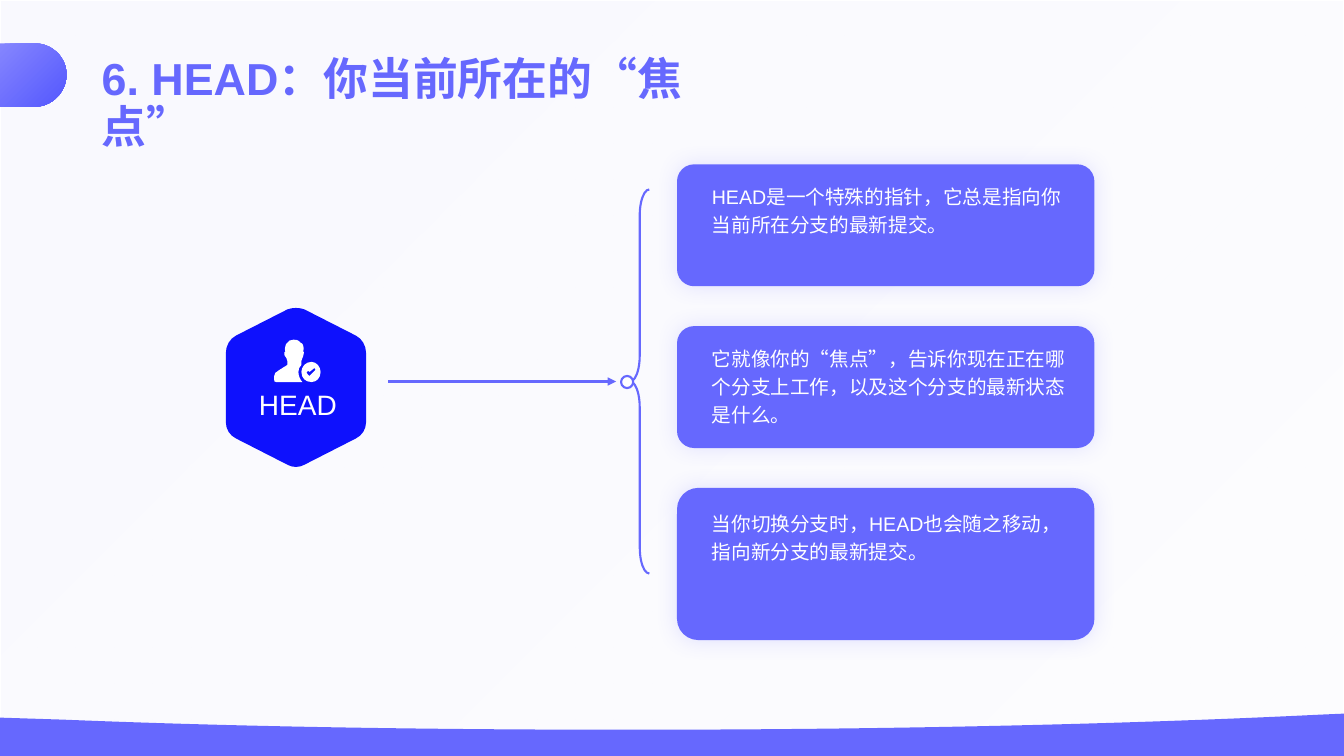
from lxml import etree
from pptx import Presentation
from pptx import util as u
from pptx.dml.color import RGBColor
from pptx.enum import shapes, text
from pptx.oxml.ns import qn

COLS, ROWS = 133.3, 75
ACCENT, DEEP, WHITE = "6668FE", "0E11FD", "FFFFFF"

TAB = [[(0, 4.3), (3.4, 4.3), (5.2, 4.3, 6.6, 5.7, 6.6, 7.4),
        (6.6, 9.1, 5.2, 10.6, 3.4, 10.6), (0, 10.6)]]
WAVE = [[(133.3, 70.8), (133.3, 75.2), (0, 75.2), (0, 71.2), (6.3, 71.4),
         (23.5, 72.1, 42.5, 72.4, 62.4, 72.4), (87.2, 72.4, 110.6, 71.9, 131, 70.9)]]
HEXAGON = [[(30.2, 30.7), (35.3, 33.3), (35.9, 33.6, 36.3, 34.3, 36.3, 35),
            (36.3, 41.9), (36.3, 42.6, 35.9, 43.2, 35.3, 43.5),
            (30.2, 46.1), (29.7, 46.4, 29, 46.4, 28.5, 46.1),
            (23.4, 43.5), (22.8, 43.2, 22.4, 42.6, 22.4, 41.9),
            (22.4, 35), (22.4, 34.3, 22.8, 33.6, 23.4, 33.3),
            (28.5, 30.7), (29, 30.5, 29.7, 30.5, 30.2, 30.7)]]
CHECK = [(31.2, 36.5), (30.7, 36.9), (30.6, 36.8), (30.4, 36.9),
         (30.5, 37.1), (30.7, 37.3), (30.9, 37.1), (31.3, 36.7)]
BADGE = [(30.9, 35.9), (31.4, 35.9, 31.8, 36.4, 31.8, 36.9),
         (31.8, 37.5, 31.4, 37.9, 30.9, 37.9), (30.3, 37.9, 29.9, 37.5, 29.9, 36.9),
         (29.9, 36.4, 30.3, 35.9, 30.9, 35.9)]
PERSON = [(29.1, 33.7), (29.3, 33.7, 29.5, 33.7, 29.6, 33.8),
          (29.8, 33.9, 29.8, 34, 29.8, 34), (29.8, 34, 30.2, 34, 30.1, 34.8),
          (30.1, 34.8, 30.1, 34.8, 30.1, 34.9), (30.1, 34.9, 30.2, 34.9, 30.1, 35.2),
          (30.1, 35.4, 30, 35.5, 30, 35.5), (30, 35.6, 29.9, 35.7, 29.9, 35.8),
          (29.9, 36.2), (29.7, 36.4, 29.6, 36.6, 29.6, 36.9),
          (29.6, 37.3, 29.8, 37.7, 30, 37.9), (27.4, 37.9),
          (27.2, 37.9, 27.2, 37.8, 27.2, 37.7), (27.2, 37.3),
          (27.2, 37.2, 27.2, 37.1, 27.3, 37), (27.8, 36.6, 28.4, 36.3, 28.5, 36.2),
          (28.5, 35.8), (28.5, 35.7, 28.4, 35.6, 28.4, 35.5),
          (28.4, 35.5, 28.3, 35.4, 28.2, 35.2), (28.2, 34.9, 28.2, 34.9, 28.3, 34.9),
          (28.3, 34.7, 28.2, 34.5, 28.3, 34.4), (28.3, 34.2, 28.4, 34.1, 28.5, 34),
          (28.6, 33.9, 28.6, 33.9, 28.7, 33.8), (28.8, 33.8, 28.9, 33.7, 29.1, 33.7)]

CARDS = [
    ("HEAD是一个特殊的指针，它总是指向你当前所在分支的最新提交。", 12.1, 1.6, 5.4),
    ("它就像你的“焦点”，告诉你现在正在哪个分支上工作，以及这个分支的最新状态是什么。", 12.1, 1.55, 8.2),
    ("当你切换分支时，HEAD也会随之移动，指向新分支的最新提交。", 15.1, 1.95, 5.4),
]


def rgb(value):
    return RGBColor.from_string(value)


def format_text(tf, words, size=14, color=WHITE, bold=False, align=text.PP_ALIGN.LEFT, spacing=1.0):
    p = tf.paragraphs[0]
    p.alignment, p.line_spacing = align, spacing
    r = p.add_run()
    r.text = words
    r.font.name, r.font.size, r.font.bold = "Arial", u.Pt(size), bold
    r.font.color.rgb = rgb(color)


class Deck:
    """Draws styled elements on the current slide, in grid columns and rows."""

    def __init__(self, prs):
        self.s = prs.slides.add_slide(prs.slide_layouts[6])
        self.col, self.row = prs.slide_width / COLS, prs.slide_height / ROWS

    def xy(self, *grid):
        return [round(v * (self.row if i % 2 else self.col)) for i, v in enumerate(grid)]

    def paint(self, sp, fill=None, line=None, width=1.5, alphas=()):
        sp.shadow.inherit = False
        if isinstance(fill, tuple):
            sp.fill.gradient()
            sp.fill.gradient_angle = 315
            for stop, color in zip(sp.fill.gradient_stops, fill):
                stop.color.rgb = rgb(color)
            for clr, alpha in zip(sp._element.spPr.iter(qn("a:srgbClr")), alphas):
                etree.SubElement(clr, qn("a:alpha"), val=str(alpha * 1000))
        elif fill:
            sp.fill.solid()
            sp.fill.fore_color.rgb = rgb(fill)
        else:
            sp.fill.background()
        if line:
            sp.line.color.rgb, sp.line.width = rgb(line), u.Pt(width)
        else:
            sp.line.fill.background()
        return sp

    def shape(self, kind, box, adj=(), **style):
        sp = self.s.shapes.add_shape(kind, *self.xy(*box))
        for i, value in enumerate(adj):
            sp.adjustments[i] = value
        return self.paint(sp, **style)

    def outline(self, contours, fill):
        fb = self.s.shapes.build_freeform(*self.xy(*contours[0][0]))
        for i, ring in enumerate(contours):
            if i:
                fb.move_to(*self.xy(*ring[0]))
            fb.add_line_segments([self.xy(*seg[-2:]) for seg in ring[1:]], close=True)
        sp = self.paint(fb.convert_to_shape(), fill)
        segments = [seg for ring in contours for seg in ring[1:]]
        for ln, seg in zip(list(sp._element.iter(qn("a:lnTo"))), segments):
            if len(seg) == 6:
                ln.getparent().replace(ln, self.curve(seg, sp.left, sp.top))
        return sp

    def curve(self, seg, left, top):
        bez = etree.Element(qn("a:cubicBezTo"))
        pts = self.xy(*seg)
        for x, y in zip(pts[::2], pts[1::2]):
            etree.SubElement(bez, qn("a:pt"), x=str(x - left), y=str(y - top))
        return bez

    def label(self, words, box, inset=True, **style):
        tf = self.s.shapes.add_textbox(*self.xy(*box)).text_frame
        tf.word_wrap, tf.auto_size = True, text.MSO_AUTO_SIZE.SHAPE_TO_FIT_TEXT
        if not inset:
            tf.margin_left = tf.margin_top = tf.margin_right = tf.margin_bottom = 0
        format_text(tf, words, **style)

    def arrow(self, start, end, color=ACCENT):
        cx = self.s.shapes.add_connector(shapes.MSO_CONNECTOR.STRAIGHT, *self.xy(*start, *end))
        cx.line.color.rgb, cx.line.width = rgb(color), u.Pt(2)
        etree.SubElement(cx.line._get_or_add_ln(), qn("a:tailEnd"), type="triangle")
        etree.SubElement(cx._element.spPr, qn("a:effectLst"))

    def card(self, words, top, height, pad, text_height):
        sp = self.shape(shapes.MSO_SHAPE.ROUNDED_RECTANGLE, (67.15, top, 41.4, height),
                        adj=[0.14], fill=ACCENT)
        effects = sp._element.spPr.find(qn("a:effectLst"))
        glow = etree.SubElement(effects, qn("a:outerShdw"), blurRad=str(u.Pt(15)),
                                dist="0", dir="0", algn="ctr", rotWithShape="0")
        color = etree.SubElement(glow, qn("a:srgbClr"), val="7577FE")
        etree.SubElement(color, qn("a:alpha"), val="20000")
        self.label(words, (70.6, top + pad, 36.3, text_height), inset=False, spacing=1.2)


def main():
    prs = Presentation()
    prs.slide_width, prs.slide_height = u.Inches(13.33), u.Inches(7.5)
    d = Deck(prs)
    kinds = shapes.MSO_SHAPE
    d.shape(kinds.RECTANGLE, (0, 0, COLS, ROWS), fill=("8586FE", ACCENT), alphas=(5, 2),
            line=WHITE, width=1)
    d.outline(WAVE, ACCENT)
    d.outline(TAB, ("8586FE", "5457FE"))
    d.label("6. HEAD：你当前所在的“焦点”", (9.1, 5.1, 66.1, 5.9),
            size=32, color=ACCENT, bold=True, spacing=0.9)
    d.outline(HEXAGON, DEEP)
    d.label("HEAD", (24.9, 38.4, 9.3, 3.4), inset=False, size=20, align=text.PP_ALIGN.CENTER)
    d.outline([CHECK, BADGE, PERSON], WHITE)
    d.arrow((38.5, 37.85), (61.1, 37.85))
    d.shape(kinds.LEFT_BRACE, (62.5, 18.8, 1.9, 38.1), adj=[1.36, 0.5], line=ACCENT)
    d.shape(kinds.OVAL, (61.6, 37.3, 1.2, 1.2), fill=WHITE, line=ACCENT)
    for i, (words, height, pad, text_height) in enumerate(CARDS):
        d.card(words, 16.3 + 16.05 * i, height, pad, text_height)
    prs.save("out.pptx")


if __name__ == "__main__":
    main()
